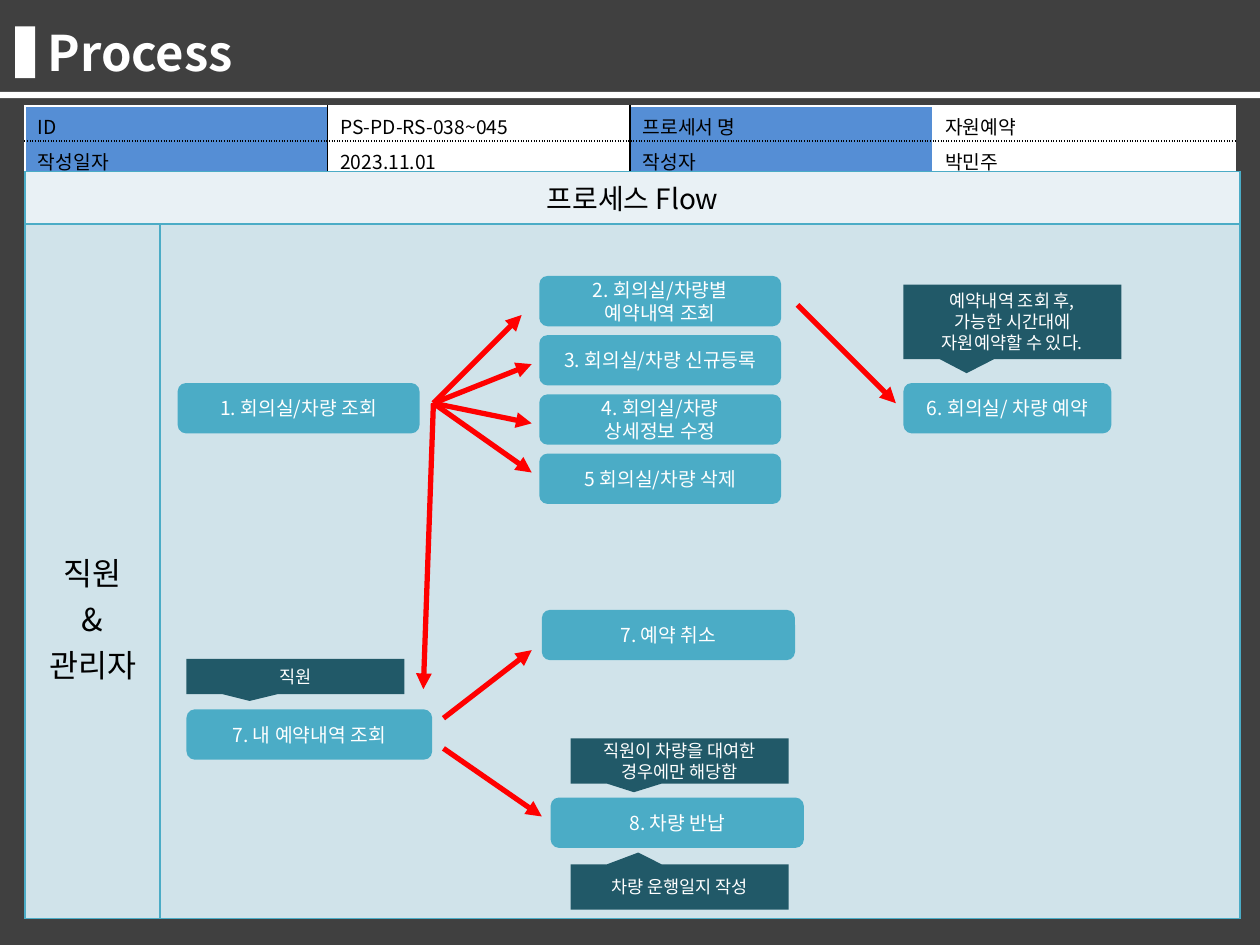
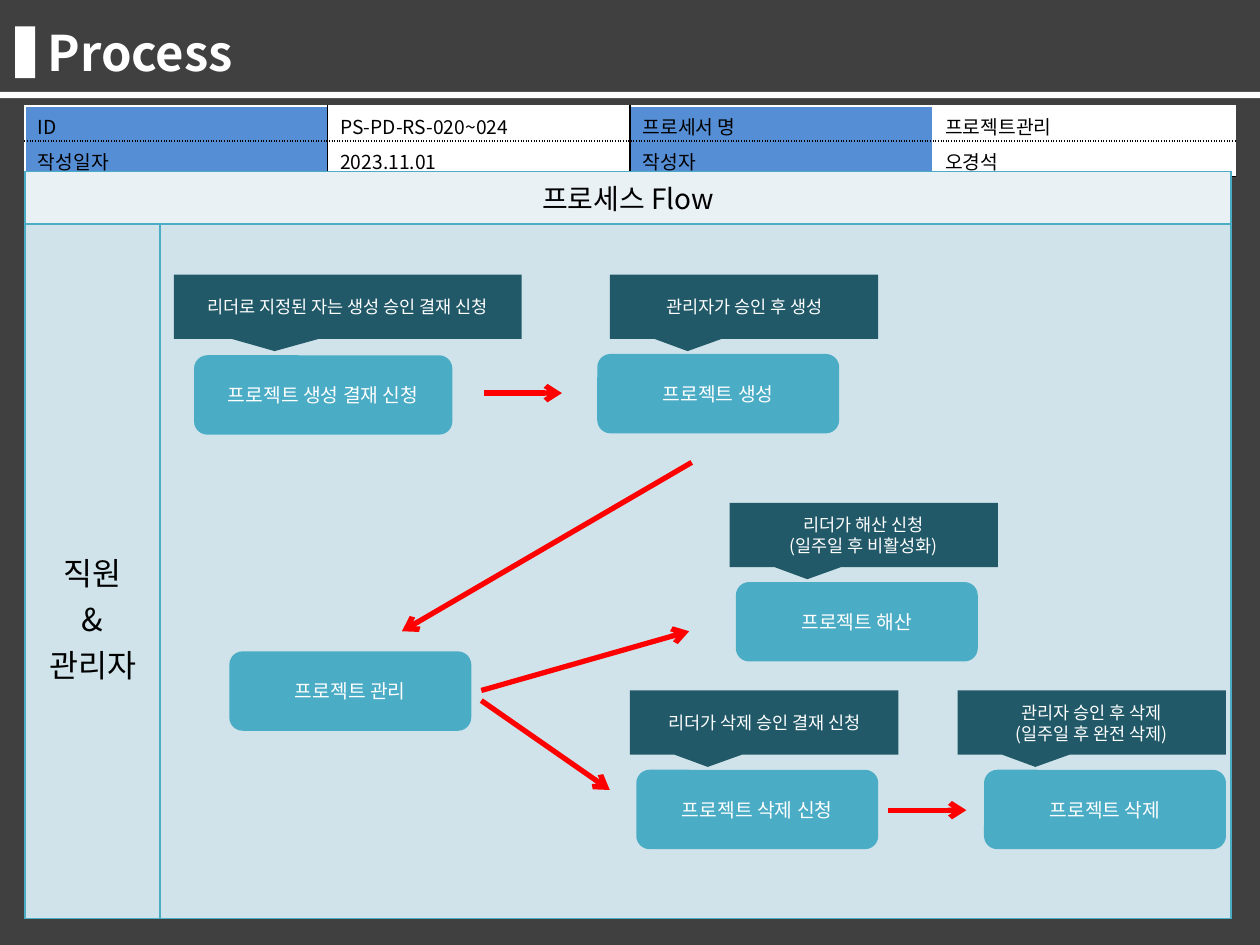
from dataclasses import dataclass

from lxml.etree import SubElement
from pptx import Presentation
from pptx.dml.color import RGBColor
from pptx.enum.shapes import MSO_CONNECTOR, MSO_SHAPE
from pptx.enum.text import MSO_ANCHOR, MSO_AUTO_SIZE, PP_ALIGN
from pptx.oxml import parse_xml
from pptx.oxml.ns import nsdecls, qn
from pptx.shapes.autoshape import Shape
from pptx.slide import Slide
from pptx.table import Table, _Cell
from pptx.text.text import TextFrame
from pptx.util import Inches, Pt

FONT = "Noto Sans CJK KR"
WHITE = RGBColor(0xFF, 0xFF, 0xFF)
BLACK = RGBColor(0, 0, 0)
DARK = RGBColor(0x40, 0x40, 0x40)
LABEL_BLUE = RGBColor(0x55, 0x8E, 0xD5)
TEAL = RGBColor(0x4B, 0xAC, 0xC6)
DEEP_TEAL = RGBColor(0x21, 0x59, 0x68)
HEAD_TINT = RGBColor(0xE9, 0xF1, 0xF5)
BODY_TINT = RGBColor(0xD0, 0xE3, 0xEA)
RED = RGBColor(0xFF, 0, 0)

POINT_DOWN = (-0.21, 0.69)
POINT_UP = (-0.19, -0.76)


@dataclass(frozen=True)
class Step:
    """A rounded process step, in inches."""
    text: str
    x: float
    y: float
    w: float = 1.92
    h: float = 0.4


@dataclass(frozen=True)
class Note:
    """A callout beside a step, in inches."""
    text: str
    x: float
    y: float
    w: float = 1.73
    h: float = 0.36
    tip: tuple[float, float] = POINT_DOWN


@dataclass(frozen=True)
class Arrow:
    """A straight arrow between two points, in inches."""
    start: tuple[float, float]
    end: tuple[float, float]


@dataclass(frozen=True)
class Process:
    """Everything that differs from one process slide to the next."""
    code: str
    name: str
    author: str
    flow_w: float
    head: str
    steps: list[Step]
    notes: list[Note]
    arrows: list[Arrow]


FAN = (3.44, 3.2)
LOOKUPS = ["2. 회의실/차량별\n예약내역 조회", "3. 회의실/차량 신규등록",
           "4. 회의실/차량\n상세정보 수정", "5 회의실/차량 삭제"]

RESERVATION = Process(
    "PS-PD-RS-038~045", "자원예약", "박민주", 8.57, "triangle",
    [Step("1. 회의실/차량 조회", 1.41, 3.04),
     *(Step(text, 4.28, 2.19 + 0.47 * i) for i, text in enumerate(LOOKUPS)),
     Step("6. 회의실/ 차량 예약", 7.17, 3.04, 1.65),
     Step("7. 내 예약내역 조회", 1.48, 5.63, 1.95),
     Step("7. 예약 취소", 4.3, 4.84, 2.01),
     Step("8. 차량 반납", 4.37, 6.33, 2.01)],
    [Note("예약내역 조회 후,\n가능한 시간대에\n자원예약할 수 있다.", 7.17, 2.26, h=0.59),
     Note("직원", 1.48, 5.23, h=0.28),
     Note("직원이 차량을 대여한 경우에만 해당함", 4.53, 5.86),
     Note("차량 운행일지 작성", 4.53, 6.86, tip=POINT_UP)],
    [*(Arrow(FAN, end) for end in
       [(3.36, 5.47), (4.14, 2.5), (4.22, 2.89), (4.22, 3.36), (4.22, 3.75)]),
     Arrow((6.33, 2.42), (7.11, 3.2)),
     Arrow((3.52, 5.7), (4.22, 5.16)),
     Arrow((3.52, 5.94), (4.3, 6.48))],
)

PROJECT = Process(
    "PS-PD-RS-020~024", "프로젝트관리", "오경석", 8.5, "arrow",
    [Step("프로젝트 생성 결재 신청", 1.54, 2.82, 2.05, h=0.63),
     *(Step(text, x, y, h=0.63) for text, x, y in [
         ("프로젝트 생성", 4.74, 2.81),
         ("프로젝트 관리", 1.82, 5.17),
         ("프로젝트 해산", 5.84, 4.62),
         ("프로젝트 삭제 신청", 5.05, 6.11),
         ("프로젝트 삭제", 7.81, 6.11)])],
    [Note("리더로 지정된 자는 생성 승인 결재 신청", 1.38, 2.18, 2.76, 0.51),
     *(Note(text, x, y, 2.13, 0.51) for text, x, y in [
         ("관리자가 승인 후 생성", 4.84, 2.18),
         ("리더가 해산 신청\n(일주일 후 비활성화)", 5.79, 3.99),
         ("리더가 삭제 승인 결재 신청", 5, 5.48),
         ("관리자 승인 후 삭제\n(일주일 후 완전 삭제)", 7.6, 5.48)])],
    [Arrow((3.84, 3.12), (4.46, 3.12)),
     Arrow((5.49, 3.67), (3.19, 5.01)),
     Arrow((3.82, 5.48), (5.47, 5.01)),
     Arrow((3.82, 5.56), (4.84, 6.27)),
     Arrow((7.05, 6.43), (7.67, 6.43))],
)


def write(tf: TextFrame, text: str, *, size: float = 11, color: RGBColor = BLACK,
          bold: bool = False, align: PP_ALIGN = PP_ALIGN.LEFT) -> None:
    """Fill a text frame, one paragraph per line of text."""
    for i, line in enumerate(text.split("\n")):
        p = tf.paragraphs[0] if i == 0 else tf.add_paragraph()
        p.alignment = align
        r = p.add_run()
        r.text = line
        r.font.size, r.font.bold, r.font.name = Pt(size), bold, FONT
        r.font.color.rgb = color
        SubElement(r.font._element, qn("a:ea"), typeface=FONT)


def add_box(s: Slide, kind: MSO_SHAPE, x: float, y: float, w: float, h: float,
            fill: RGBColor, text: str = "", size: float = 11) -> Shape:
    """Add a flat shape with optional centred white text."""
    sp = s.shapes.add_shape(kind, Inches(x), Inches(y), Inches(w), Inches(h))
    sp.shadow.inherit = False
    sp.fill.solid()
    sp.fill.fore_color.rgb = fill
    sp.line.fill.background()
    if text:
        tf = sp.text_frame
        tf.word_wrap = True
        tf.vertical_anchor = MSO_ANCHOR.MIDDLE
        write(tf, text, size=size, color=WHITE, align=PP_ALIGN.CENTER)
    return sp


def add_arrow(s: Slide, arrow: Arrow, head: str) -> None:
    """Draw a red arrow with the given head type."""
    points = [Inches(v) for v in (*arrow.start, *arrow.end)]
    cn = s.shapes.add_connector(MSO_CONNECTOR.STRAIGHT, *points)
    cn.line.color.rgb = RED
    cn.line.width = Pt(3)
    SubElement(cn.line._get_or_add_ln(), qn("a:tailEnd"), type=head)
    SubElement(cn._element.spPr, qn("a:effectLst"))


def style_cell(cell: _Cell, fill: RGBColor, borders: list[tuple[RGBColor, str]]) -> None:
    """Set the fill and the left, right, top and bottom borders of a cell."""
    tc_pr = cell._tc.get_or_add_tcPr()
    for i, (side, (color, dash)) in enumerate(zip("LRTB", borders)):
        tc_pr.insert(i, parse_xml(
            f'<a:ln{side} {nsdecls("a")} w="12700"><a:solidFill><a:srgbClr val="{color}"/>'
            f'</a:solidFill><a:prstDash val="{dash}"/></a:ln{side}>'))
    cell.fill.solid()
    cell.fill.fore_color.rgb = fill


def add_grid(s: Slide, y: float, widths: list[float], heights: list[float]) -> Table:
    """Add a plain table at the left margin."""
    frame = s.shapes.add_table(len(heights), len(widths), Inches(0.2), Inches(y),
                               Inches(sum(widths)), Inches(sum(heights)))
    table = frame.table
    table.first_row = table.horz_banding = False
    for column, w in zip(table.columns, widths):
        column.width = Inches(w)
    for row, h in zip(table.rows, heights):
        row.height = Inches(h)
    return table


def add_info_table(s: Slide, process: Process) -> None:
    """Add the table that identifies the process."""
    rows = [["ID", process.code, "프로세서 명", process.name],
            ["작성일자", "2023.11.01", "작성자", process.author]]
    table = add_grid(s, 0.84, [2.4] * 4, [0.28] * 2)
    uprights = [(color, "solid") for color in (WHITE, BLACK, BLACK, WHITE, WHITE)]
    levels = [(WHITE, "solid"), (BLACK, "sysDot"), (BLACK, "solid")]
    for i, row in enumerate(rows):
        for j, text in enumerate(row):
            cell = table.cell(i, j)
            cell.margin_bottom = Inches(0.01)
            write(cell.text_frame, text)
            style_cell(cell, WHITE if j % 2 else LABEL_BLUE,
                       uprights[j:j + 2] + levels[i:i + 2])


def add_flow_table(s: Slide, width: float) -> None:
    """Add the framed area that holds the flow."""
    table = add_grid(s, 1.36, [1.07, width], [0.42, 5.51])
    for i, fill in enumerate((HEAD_TINT, BODY_TINT)):
        for j in range(2):
            style_cell(table.cell(i, j), fill, [(TEAL, "solid")] * 4)
    head, role = table.cell(0, 0), table.cell(1, 0)
    head.merge(table.cell(0, 1))
    write(head.text_frame, "프로세스 Flow", size=16, align=PP_ALIGN.CENTER)
    role.margin_top = Inches(2.58)
    write(role.text_frame, "직원\n&\n관리자", size=18, align=PP_ALIGN.CENTER)


def add_title(s: Slide) -> None:
    """Add the dark background, the title and its white marks."""
    add_box(s, MSO_SHAPE.RECTANGLE, 0, 0, 10, 7.5, DARK)
    tb = s.shapes.add_textbox(Inches(0.28), Inches(0.13), Inches(8.98), Inches(0.57))
    tf = tb.text_frame
    tf.word_wrap = True
    tf.auto_size = MSO_AUTO_SIZE.SHAPE_TO_FIT_TEXT
    write(tf, "Process", size=28, color=WHITE, bold=True)
    add_box(s, MSO_SHAPE.RECTANGLE, 0.12, 0.21, 0.16, 0.41, WHITE)
    add_box(s, MSO_SHAPE.RECTANGLE, 0, 0.73, 10, 0.05, WHITE)


def add_process(s: Slide, process: Process) -> None:
    """Build one process slide."""
    add_title(s)
    add_info_table(s, process)
    add_flow_table(s, process.flow_w)
    for step in process.steps:
        add_box(s, MSO_SHAPE.ROUNDED_RECTANGLE, step.x, step.y, step.w, step.h,
                TEAL, step.text)
    for note in process.notes:
        sp = add_box(s, MSO_SHAPE.RECTANGULAR_CALLOUT, note.x, note.y, note.w, note.h,
                     DEEP_TEAL, note.text, size=10)
        sp.adjustments[0], sp.adjustments[1] = note.tip
    for arrow in process.arrows:
        add_arrow(s, arrow, process.head)


def main() -> None:
    """Build and save the presentation."""
    prs = Presentation()
    prs.slide_width, prs.slide_height = Inches(10), Inches(7.5)
    for process in (RESERVATION, PROJECT):
        add_process(prs.slides.add_slide(prs.slide_layouts[6]), process)
    prs.save("out.pptx")


if __name__ == "__main__":
    main()
